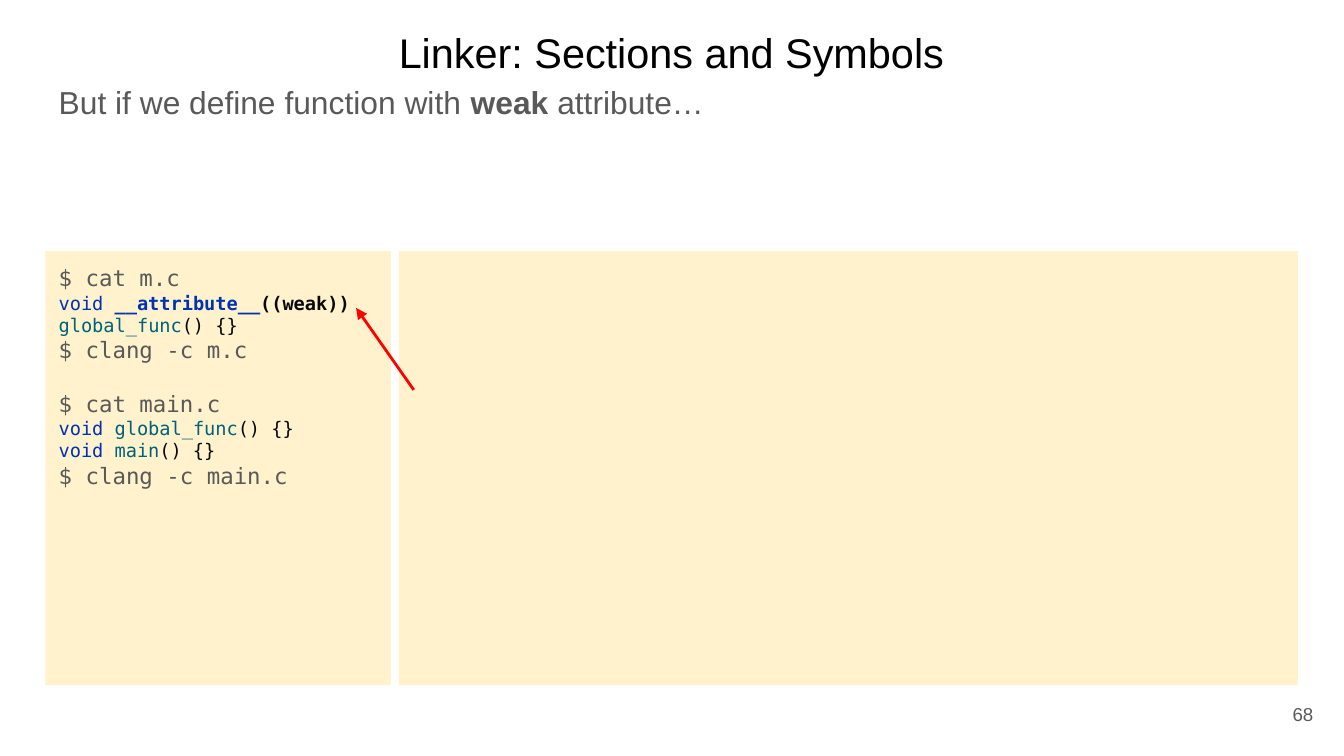
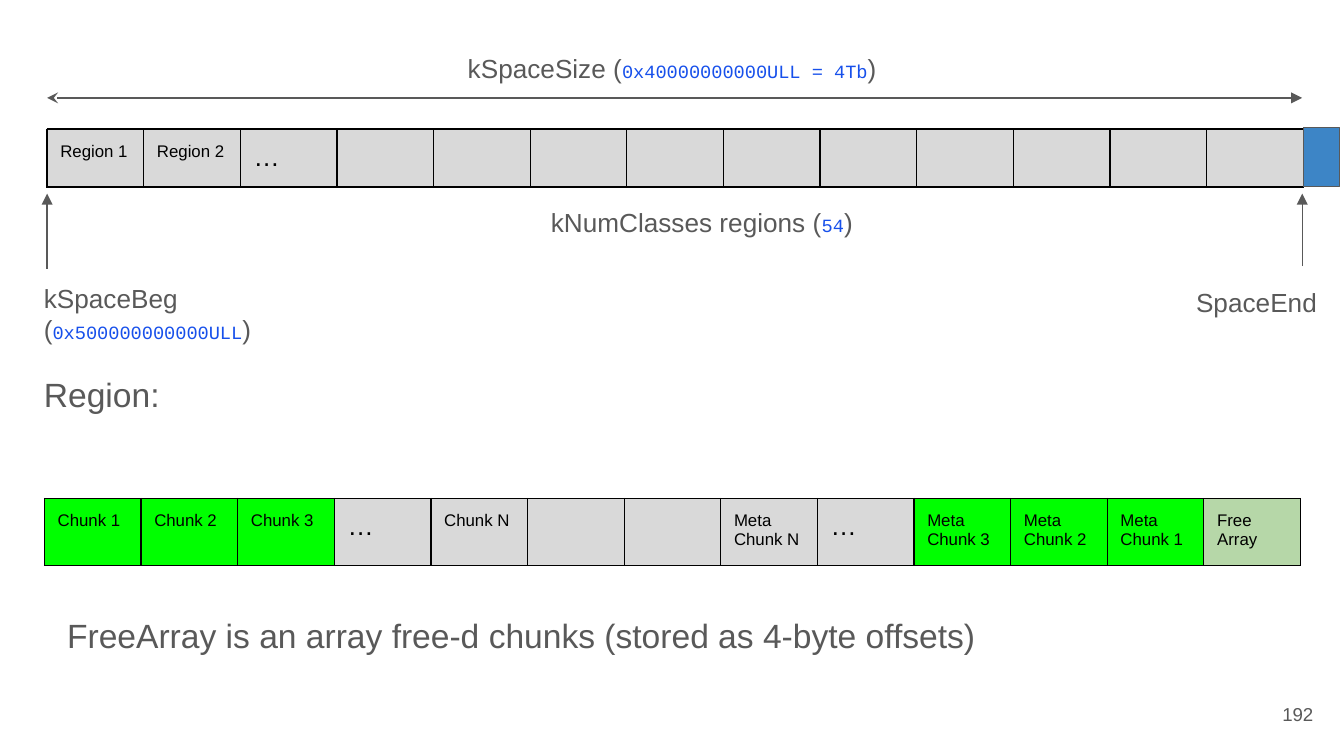
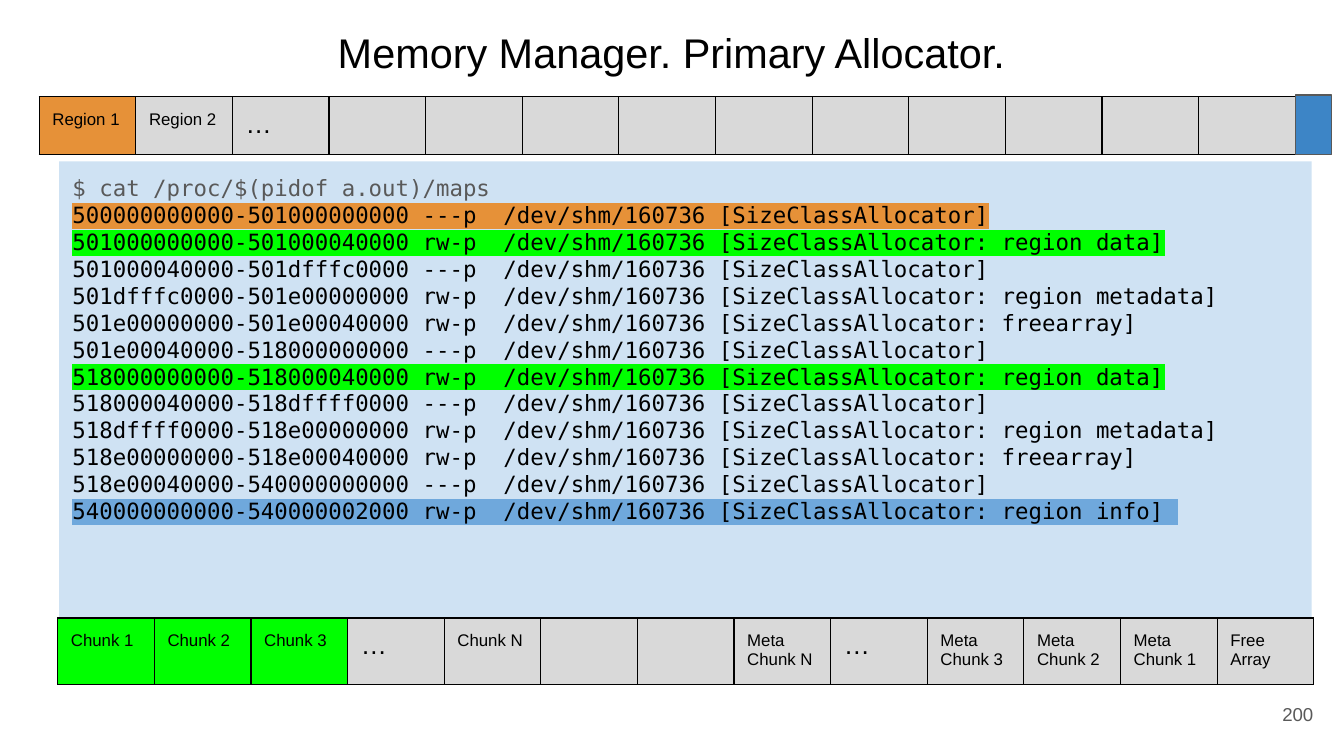
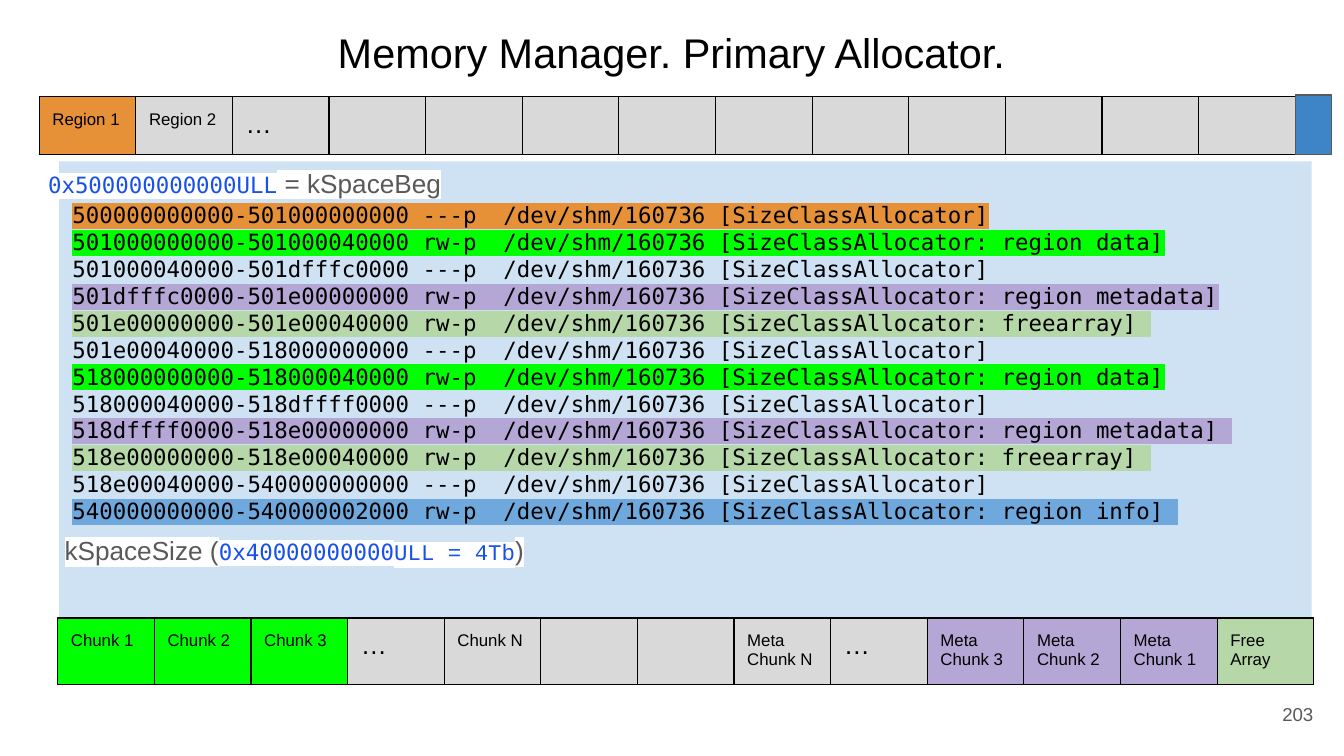
import dataclasses
import typing

import lxml.etree
import pptx
import pptx.dml.color
import pptx.enum.dml
import pptx.enum.shapes
import pptx.enum.text
import pptx.oxml.ns
import pptx.util

Cm = pptx.util.Cm
Pt = pptx.util.Pt
qn = pptx.oxml.ns.qn
Align = pptx.enum.text.PP_ALIGN
Anchor = pptx.enum.text.MSO_ANCHOR


@dataclasses.dataclass(frozen=True)
class Theme:
    sans: str = "Arial"
    mono: str = "DejaVu Sans Mono"
    courier: str = "Courier New"
    ink: str = "000000"
    grey: str = "595959"
    white: str = "FFFFFF"
    red: str = "FF0000"
    literal: str = "1750EB"
    keyword: str = "0033B3"
    function: str = "00627A"
    punctuation: str = "080808"
    cream: str = "FFF2CC"
    pale_blue: str = "CFE2F3"
    blue: str = "3D85C6"
    sky: str = "6FA8DC"
    silver: str = "D9D9D9"
    orange: str = "E69138"
    lime: str = "00FF00"
    sage: str = "B6D7A8"
    violet: str = "B4A7D6"
    title_size: float = 22.2
    heading_size: float = 18
    lead_size: float = 17
    label_size: float = 14
    shell_size: float = 12
    code_size: float = 10
    cell_size: float = 9
    thin: float = 0.75
    thick: float = 1.5


THEME = Theme()


class Area(typing.NamedTuple):
    left: float
    top: float
    width: float
    height: float


@dataclasses.dataclass(frozen=True)
class Span:
    text: str
    size: float = THEME.label_size
    color: str = THEME.grey
    font: str = THEME.sans
    bold: bool = False
    highlight: str = ""


@dataclasses.dataclass(frozen=True)
class Para:
    spans: tuple[Span, ...]
    format: dict = dataclasses.field(default_factory=dict)


@dataclasses.dataclass(frozen=True)
class Arrow:
    begin: tuple[float, float]
    end: tuple[float, float]
    color: str = THEME.grey
    width: float = THEME.thin
    head: str = ""
    tail: str = ""


@dataclasses.dataclass(frozen=True)
class Label:
    area: Area
    paras: tuple[Para, ...]


TITLE_AREA = Area(0.86, 0.38, 23.67, 1.32)
NUMBER_AREA = Area(23.55, 12.95, 1.52, 1.09)
MAPS_AREA = Area(1.12, 3.05, 23.67, 9.63)
STRIP_WIDTH = 23.75
REGION_HEIGHT = 1.08
CHUNK_HEIGHT = 1.26
CELL_COUNT = 13
INSET = 0.25
SHELL_LINE = 0.51

REGION_NAMES = ("Region 1", "Region 2", "…")
CHUNK_NAMES = (
    "Chunk 1", "Chunk 2", "Chunk 3", "…", "Chunk N", "", "", "Meta\nChunk N",
    "…", "Meta\nChunk 3", "Meta\nChunk 2", "Meta\nChunk 1", "Free\nArray",
)
MAPS = (
    "500000000000-501000000000 ---p  /dev/shm/160736 [SizeClassAllocator]",
    "501000000000-501000040000 rw-p  /dev/shm/160736 [SizeClassAllocator: region data]",
    "501000040000-501dfffc0000 ---p  /dev/shm/160736 [SizeClassAllocator]",
    "501dfffc0000-501e00000000 rw-p  /dev/shm/160736 [SizeClassAllocator: region metadata]",
    "501e00000000-501e00040000 rw-p  /dev/shm/160736 [SizeClassAllocator: freearray]",
    "501e00040000-518000000000 ---p  /dev/shm/160736 [SizeClassAllocator]",
    "518000000000-518000040000 rw-p  /dev/shm/160736 [SizeClassAllocator: region data]",
    "518000040000-518dffff0000 ---p  /dev/shm/160736 [SizeClassAllocator]",
    "518dffff0000-518e00000000 rw-p  /dev/shm/160736 [SizeClassAllocator: region metadata]",
    "518e00000000-518e00040000 rw-p  /dev/shm/160736 [SizeClassAllocator: freearray]",
    "518e00040000-540000000000 ---p  /dev/shm/160736 [SizeClassAllocator]",
    "540000000000-540000002000 rw-p  /dev/shm/160736 [SizeClassAllocator: region info]",
)
BASE_MARKS = {0: THEME.orange, 1: THEME.lime, 6: THEME.lime, 11: THEME.sky}
FULL_MARKS = BASE_MARKS | {
    3: THEME.violet, 4: THEME.sage, 8: THEME.violet, 9: THEME.sage,
}
USED_CHUNKS = {index: THEME.lime for index in range(3)}


def rgb(color: str) -> pptx.dml.color.RGBColor:
    return pptx.dml.color.RGBColor.from_string(color)


def apply(target: typing.Any, values: dict) -> None:
    for name, value in values.items():
        setattr(target, name, value)


def place(area: Area) -> tuple:
    return tuple(Cm(length) for length in area)


def add_color(parent: typing.Any, tag: str, color: str) -> typing.Any:
    holder = lxml.etree.SubElement(parent, qn(tag))
    lxml.etree.SubElement(holder, qn("a:srgbClr"), val=color)
    return holder


def write_span(paragraph: typing.Any, span: Span) -> None:
    run = paragraph.add_run()
    run.text = span.text
    apply(run.font, {"size": Pt(span.size), "bold": span.bold, "name": span.font})
    run.font.color.rgb = rgb(span.color)
    if span.highlight:
        properties = run.font._element
        mark = add_color(properties, "a:highlight", span.highlight)
        properties.find(qn("a:solidFill")).addnext(mark)


def write(frame: typing.Any, paras: typing.Sequence[Para]) -> None:
    for index, para in enumerate(paras):
        paragraph = frame.add_paragraph() if index else frame.paragraphs[0]
        apply(paragraph, {"alignment": Align.LEFT} | para.format)
        for span in para.spans:
            write_span(paragraph, span)


def set_frame(frame: typing.Any, **values: typing.Any) -> None:
    margins = {f"margin_{side}": Cm(INSET) for side in ("left", "right", "top", "bottom")}
    defaults = {"word_wrap": True, "vertical_anchor": Anchor.TOP}
    apply(frame, defaults | margins | values)


def add_text(page: typing.Any, area: Area, paras: typing.Sequence[Para],
             **values: typing.Any) -> None:
    box = page.shapes.add_textbox(*place(area))
    set_frame(box.text_frame, **values)
    write(box.text_frame, paras)


def add_label(page: typing.Any, label: Label) -> None:
    fit = pptx.enum.text.MSO_AUTO_SIZE.SHAPE_TO_FIT_TEXT
    add_text(page, label.area, label.paras, auto_size=fit)


def add_panel(page: typing.Any, area: Area, fill: str, paras: typing.Sequence[Para] = (),
              outline: str = "", **values: typing.Any) -> None:
    panel = page.shapes.add_shape(pptx.enum.shapes.MSO_SHAPE.RECTANGLE, *place(area))
    panel.shadow.inherit = False
    panel.fill.solid()
    panel.fill.fore_color.rgb = rgb(fill)
    if outline:
        panel.line.color.rgb = rgb(outline)
        panel.line.width = Pt(THEME.thin)
    else:
        panel.line.fill.background()
    set_frame(panel.text_frame, **values)
    write(panel.text_frame, paras)


def add_arrow(page: typing.Any, arrow: Arrow) -> None:
    points = [Cm(length) for length in arrow.begin + arrow.end]
    connector = page.shapes.add_connector(pptx.enum.shapes.MSO_CONNECTOR.STRAIGHT, *points)
    connector.line.color.rgb = rgb(arrow.color)
    connector.line.width = Pt(arrow.width)
    properties = connector._element.spPr
    for tag, kind in (("a:headEnd", arrow.head), ("a:tailEnd", arrow.tail)):
        if kind:
            lxml.etree.SubElement(properties.find(qn("a:ln")), qn(tag), type=kind)
    lxml.etree.SubElement(properties, qn("a:effectLst"))


def add_borders(cell: typing.Any) -> None:
    properties = cell._tc.get_or_add_tcPr()
    for tag in ("a:lnL", "a:lnR", "a:lnT", "a:lnB"):
        edge = lxml.etree.SubElement(properties, qn(tag), w=str(Pt(THEME.thin)))
        add_color(edge, "a:solidFill", THEME.ink)


def add_strip(page: typing.Any, left: float, top: float, height: float,
              names: typing.Sequence[str], fills: dict[int, str]) -> None:
    area = Area(left, top, STRIP_WIDTH, height)
    table = page.shapes.add_table(1, CELL_COUNT, *place(area)).table
    apply(table, {"first_row": False, "horz_banding": False})
    for index, cell in enumerate(table.rows[0].cells):
        name = names[index] if index < len(names) else ""
        add_borders(cell)
        cell.fill.solid()
        cell.fill.fore_color.rgb = rgb(fills.get(index, THEME.silver))
        apply(cell, {f"margin_{side}": Cm(INSET) for side in ("left", "right", "top", "bottom")})
        if name:
            size = THEME.label_size if name == "…" else THEME.cell_size
            write(cell.text_frame,
                  [Para((Span(line, size, THEME.ink),)) for line in name.split("\n")])
        else:
            lxml.etree.SubElement(cell.text_frame.paragraphs[0]._p, qn("a:endParaRPr"),
                                  sz=str(int(THEME.cell_size * 100)))


def add_regions(page: typing.Any, left: float, top: float, fills: dict[int, str]) -> None:
    add_strip(page, left, top, REGION_HEIGHT, REGION_NAMES, fills)
    info_area = Area(left + 23.74, top - 0.03, 0.69, 1.12)
    add_panel(page, info_area, THEME.blue, outline=THEME.grey)


def new_page(deck: typing.Any, number: int, title: str = "") -> typing.Any:
    page = deck.slides.add_slide(deck.slide_layouts[6])
    if title:
        heading = Para((Span(title, THEME.title_size, THEME.ink),),
                       {"alignment": Align.CENTER, "line_spacing": 0.8})
        add_text(page, TITLE_AREA, [heading], vertical_anchor=Anchor.BOTTOM)
    folio = Para((Span(str(number), THEME.code_size),), {"alignment": Align.RIGHT})
    add_text(page, NUMBER_AREA, [folio], vertical_anchor=Anchor.MIDDLE)
    return page


def plain(text: str, size: float = THEME.label_size, **values: typing.Any) -> Para:
    return Para((Span(text, size),), values)


def shell(text: str, **values: typing.Any) -> Para:
    return Para((Span(text, THEME.shell_size, font=THEME.mono),), values)


def code(*parts: tuple) -> Para:
    return Para(tuple(Span(text, THEME.code_size, color, THEME.mono, bold)
                      for text, color, bold in parts))


def definition(name: str) -> Para:
    return code(("void ", THEME.keyword, False), (name, THEME.function, False),
                ("() {}", THEME.punctuation, False))


def with_literal(before: str, value: str) -> Para:
    literal = Span(value, THEME.code_size, THEME.literal, THEME.courier)
    return Para((Span(before), literal, Span(")")))


def map_lines(marks: dict[int, str], padded: set[int]) -> list[Para]:
    return [
        Para((Span(line + (" " if index in padded else ""), THEME.shell_size, THEME.ink,
                   THEME.mono, highlight=marks.get(index, "")),))
        for index, line in enumerate(MAPS)
    ]


def build_weak_symbols(deck: typing.Any) -> None:
    page = new_page(deck, 68, "Linker: Sections and Symbols")
    lead = Para((
        Span("But if we define function with ", THEME.lead_size),
        Span("weak", THEME.lead_size, bold=True),
        Span(" attribute…", THEME.lead_size),
    ))
    add_text(page, Area(0.86, 1.32, 24.18, 12.42), [lead])
    listing = [
        shell("$ cat m.c"),
        code(("void", THEME.keyword, False), (" __attribute__", THEME.keyword, True),
             ("((weak))", THEME.punctuation, True), (" ", THEME.punctuation, False),
             ("global_func", THEME.function, False), ("() {}", THEME.punctuation, False)),
        shell("$ clang -c m.c"),
        shell("$ cat main.c", space_before=Pt(14.4)),
        definition("global_func"),
        definition("main"),
        shell("$ clang -c main.c"),
    ]
    add_panel(page, Area(0.86, 4.75, 6.53, 8.2), THEME.cream, listing)
    add_panel(page, Area(7.54, 4.75, 16.99, 8.2), THEME.cream)
    add_arrow(page, Arrow((6.73, 5.82), (7.82, 7.37), THEME.red, THEME.thick, head="triangle"))


def build_space_layout(deck: typing.Any) -> None:
    page = new_page(deck, 192)
    space_begin, space_end = 0.89, 24.61
    add_regions(page, space_begin, 2.44, {})
    add_strip(page, 0.84, 9.42, CHUNK_HEIGHT, CHUNK_NAMES,
              USED_CHUNKS | {9: THEME.lime, 10: THEME.lime, 11: THEME.lime, 12: THEME.sage})
    arrows = (
        Arrow((space_begin, 5.08), (space_begin, 3.66), tail="triangle"),
        Arrow((space_end, 5.03), (space_end, 3.66), tail="triangle"),
        Arrow((space_begin, 1.85), (space_end, 1.85), head="stealth", tail="triangle"),
    )
    for arrow in arrows:
        add_arrow(page, arrow)
    labels = (
        Label(Area(8.59, 0.74, 8.33, 1.12),
              (with_literal("kSpaceSize (", "0x40000000000ULL = 4Tb"),)),
        Label(Area(0.58, 5.08, 5.05, 1.7),
              (plain("kSpaceBeg"), with_literal("(", "0x500000000000ULL"))),
        Label(Area(10.16, 3.66, 7.49, 1.12), (with_literal("kNumClasses regions (", "54"),)),
        Label(Area(20.09, 5.16, 5.05, 1.12), (plain("SpaceEnd", alignment=Align.RIGHT),)),
        Label(Area(0.58, 6.81, 12.9, 1.27), (plain("Region:", THEME.heading_size),)),
        Label(Area(1.02, 11.38, 22.53, 1.27),
              (plain("FreeArray is an array free-d chunks (stored as 4-byte offsets)",
                     THEME.heading_size),)),
    )
    for label in labels:
        add_label(page, label)


def add_allocator_page(deck: typing.Any, number: int, lines: typing.Sequence[Para],
                       chunk_fills: dict[int, str], top_margin: float = INSET) -> typing.Any:
    page = new_page(deck, number, "Memory Manager. Primary Allocator.")
    add_panel(page, MAPS_AREA, THEME.pale_blue, lines, margin_top=Cm(top_margin))
    add_regions(page, 0.74, 1.83, {0: THEME.orange})
    add_strip(page, 1.09, 11.68, CHUNK_HEIGHT, CHUNK_NAMES, chunk_fills)
    return page


def build_maps(deck: typing.Any) -> None:
    lines = [shell("$ cat /proc/$(pidof a.out)/maps"), *map_lines(BASE_MARKS, {11})]
    add_allocator_page(deck, 200, lines, USED_CHUNKS)


def build_marked_maps(deck: typing.Any) -> None:
    fills = USED_CHUNKS | {index: THEME.violet for index in (9, 10, 11)} | {12: THEME.sage}
    page = add_allocator_page(deck, 203, map_lines(FULL_MARKS, {4, 8, 9, 11}), fills,
                              INSET + SHELL_LINE)
    literal = Span("0x40000000000", THEME.shell_size, THEME.literal, THEME.mono,
                   highlight=THEME.white)
    size = Para((
        Span("kSpaceSize (", highlight=THEME.white),
        literal,
        dataclasses.replace(literal, text="ULL = 4Tb", font=THEME.courier),
        Span(")", highlight=THEME.white),
    ))
    start = Para((
        dataclasses.replace(literal, text="0x500000000000ULL"),
        Span(" = kSpaceBeg", highlight=THEME.white),
    ))
    add_label(page, Label(Area(0.97, 9.86, 9.8, 1.12), (size,)))
    add_label(page, Label(Area(0.66, 2.92, 8.23, 1.12), (start,)))


def main() -> None:
    deck = pptx.Presentation()
    apply(deck, {"slide_width": Cm(25.4), "slide_height": Cm(14.29)})
    for build in (build_weak_symbols, build_space_layout, build_maps, build_marked_maps):
        build(deck)
    deck.save("out.pptx")


if __name__ == "__main__":
    main()
